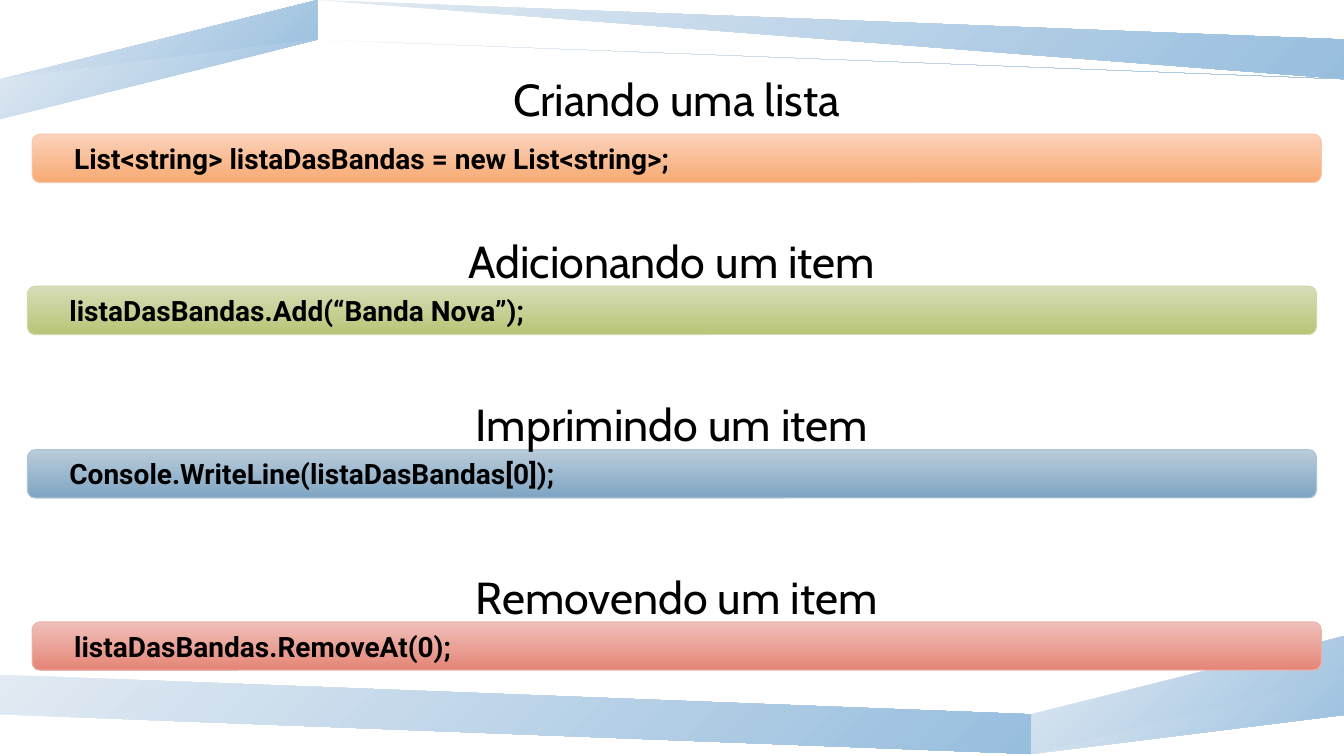
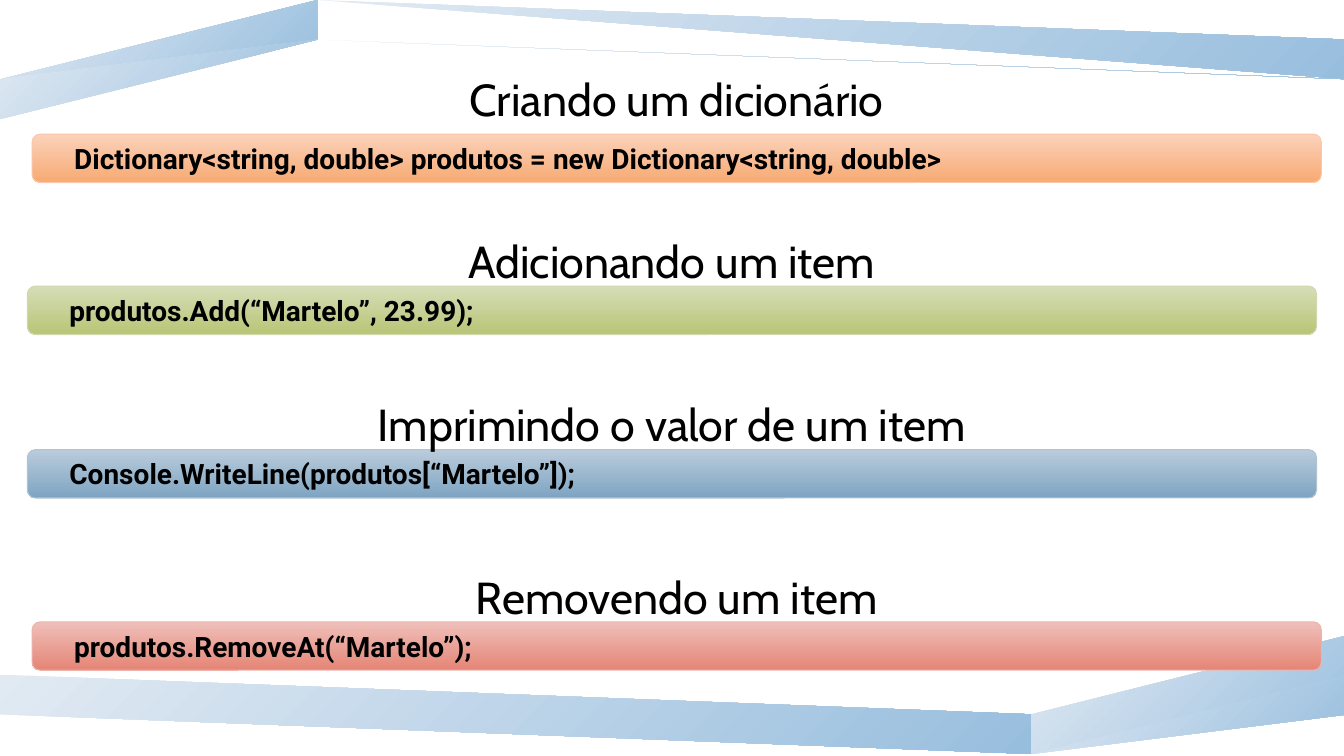
import pptx
import pptx.dml.color
import pptx.enum.shapes
import pptx.enum.text
import pptx.util

Cm = pptx.util.Cm
Pt = pptx.util.Pt

# Sizes in centimetres
SLIDE_WIDTH, SLIDE_HEIGHT = 33.87, 19.05
BAR_WIDTH, BAR_HEIGHT = 32.49, 1.22
HEADING_WIDTH, HEADING_HEIGHT = 16.2, 2.06

# Ribbon outlines at the top; the bottom ones are the same, turned half round
RIBBONS = [
    [(8, 0.15), (7.8, 0.46), (33.87, 1.55), (33.87, 1.22)],
    [(7.77, 0.53), (7.54, 0.84), (33.87, 1.93), (33.87, 1.63)],
    [(0, 1.63), (8, 0.15), (7.8, 0.46), (7.52, 0.53), (0, 2.26)],
    [(0, 2.34), (7.77, 0.53), (7.54, 0.84), (0, 3.18)],
]
TURN_X, TURN_Y = 33.81, 19.25
RIBBON_COLOURS = ("E1EAF3", "98BEDE")

# Bar left, bar top, heading rise above the bar, gradient colours, outline
SECTIONS = [
    (0.81, 3.38, 1.7, ("FBD2BB", "F7AA73"), "FAC7AB"),
    (0.69, 7.21, 1.45, ("D6DDB7", "B8C576"), "D0D8AD"),
    (0.69, 11.33, 1.45, ("BACCDB", "7EA4C2"), "B0C4D6"),
    (0.81, 15.67, 1.45, ("EFC0BA", "E58576"), "ECB3AD"),
]

# Heading and code of each section, slide by slide
SLIDES = [
    [
        ("Criando uma lista", "List<string> listaDasBandas = new List<string>;"),
        ("Adicionando um item", "listaDasBandas.Add(“Banda Nova”);"),
        ("Imprimindo um item", "Console.WriteLine(listaDasBandas[0]);"),
        ("Removendo um item", "listaDasBandas.RemoveAt(0);"),
    ],
    [
        ("Criando um dicionário",
         "Dictionary<string, double> produtos = new Dictionary<string, double>"),
        ("Adicionando um item", "produtos.Add(“Martelo”, 23.99);"),
        ("Imprimindo o valor de um item", "Console.WriteLine(produtos[“Martelo”]);"),
        ("Removendo um item", "produtos.RemoveAt(“Martelo”);"),
    ],
]


def colour(value):
    return pptx.dml.color.RGBColor.from_string(value)


class CodeDeck:
    """Holds the shared style and the current page."""

    def __init__(self):
        self.deck = pptx.Presentation()
        self.deck.slide_width = Cm(SLIDE_WIDTH)
        self.deck.slide_height = Cm(SLIDE_HEIGHT)
        self.layout = self.deck.slide_layouts[5]
        self.page = None

    def add_page(self):
        self.page = self.deck.slides.add_slide(self.layout)

    def gradient(self, shape, colours, clockwise_angle):
        shape.fill.gradient()
        shape.fill.gradient_angle = 360 - clockwise_angle
        for stop, value in zip(shape.fill.gradient_stops, colours):
            stop.color.rgb = colour(value)
        shape.shadow.inherit = False

    def add_text(self, box, text, font, size, align, bold=False):
        para = box.text_frame.paragraphs[0]
        para.alignment = align
        span = para.add_run()
        span.text = text
        span.font.name = font
        span.font.size = Pt(size)
        span.font.bold = bold
        span.font.color.rgb = colour("000000")

    def ribbon(self, points):
        """Draw one ribbon and hand it to the layout that all pages share."""
        builder = self.page.shapes.build_freeform(*points[0], scale=Cm(1))
        builder.add_line_segments(points[1:], close=True)
        shape = builder.convert_to_shape()
        self.gradient(shape, RIBBON_COLOURS, 45)
        shape.line.fill.background()
        self.layout.shapes.element.append(shape.element)

    def frame(self):
        for points in RIBBONS:
            self.ribbon(points)
            self.ribbon([(TURN_X - x, TURN_Y - y) for x, y in points])

    def code_bar(self, left, top, colours, outline, text):
        bar = self.page.shapes.add_shape(
            pptx.enum.shapes.MSO_SHAPE.ROUNDED_RECTANGLE,
            Cm(left), Cm(top), Cm(BAR_WIDTH), Cm(BAR_HEIGHT))
        self.gradient(bar, colours, 90)
        bar.line.color.rgb = colour(outline)
        bar.line.width = Pt(0.75)
        bar.text_frame.margin_left = Cm(1)
        bar.text_frame.vertical_anchor = pptx.enum.text.MSO_ANCHOR.MIDDLE
        self.add_text(bar, text, "Roboto", 20, pptx.enum.text.PP_ALIGN.LEFT, bold=True)

    def heading(self, box, left, top, text):
        box.left, box.top = Cm(left), Cm(top)
        box.width, box.height = Cm(HEADING_WIDTH), Cm(HEADING_HEIGHT)
        frame = box.text_frame
        frame.word_wrap = True
        frame.auto_size = pptx.enum.text.MSO_AUTO_SIZE.NONE
        frame.vertical_anchor = pptx.enum.text.MSO_ANCHOR.TOP
        self.add_text(box, text, "Cabin", 32, pptx.enum.text.PP_ALIGN.CENTER)

    def section(self, place, heading, code, is_title):
        left, top, rise, colours, outline = place
        self.code_bar(left, top, colours, outline, code)
        if is_title:
            box = self.page.shapes.title
        else:
            box = self.page.shapes.add_textbox(0, 0, 0, 0)
        # Headings are centred over their bar
        self.heading(box, left + (BAR_WIDTH - HEADING_WIDTH) / 2, top - rise, heading)


def main():
    builder = CodeDeck()
    for number, texts in enumerate(SLIDES):
        builder.add_page()
        if number == 0:
            builder.frame()
        for index, (place, (heading, code)) in enumerate(zip(SECTIONS, texts)):
            builder.section(place, heading, code, is_title=index == 0)
    builder.deck.save("out.pptx")


if __name__ == "__main__":
    main()
